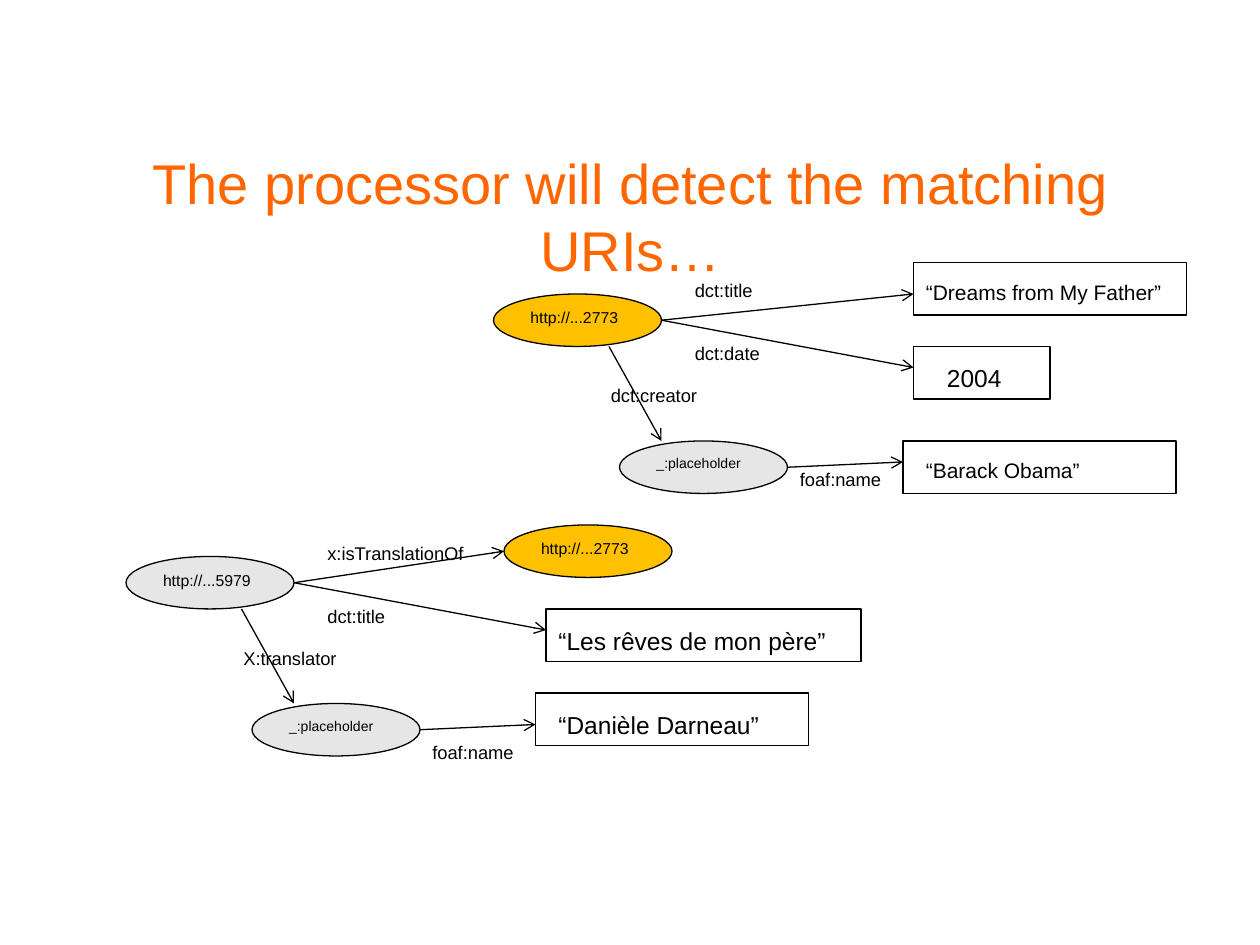
from lxml import etree
from pptx import Presentation
from pptx.dml.color import RGBColor
from pptx.enum.shapes import MSO_CONNECTOR, MSO_SHAPE
from pptx.enum.text import MSO_ANCHOR, MSO_AUTO_SIZE, PP_ALIGN
from pptx.oxml.ns import qn
from pptx.util import Pt

FONT = "Arial"
ORANGE = RGBColor(0xFF, 0x66, 0x00)
AMBER = RGBColor(0xFF, 0xC0, 0x00)
GREY = RGBColor(0xE6, 0xE6, 0xE6)
BLACK = RGBColor(0, 0, 0)
NODE_W, NODE_H = 96, 30
LINE_W = 0.75


def format_text(tf, text, size, color=BLACK, align=PP_ALIGN.LEFT):
    tf.text = text
    p = tf.paragraphs[0]
    p.alignment = align
    font = p.runs[0].font
    font.name, font.size = FONT, Pt(size)
    font.color.rgb = color


def add_title(s, text, x, y, w, h):
    sp = s.shapes.title
    sp.left, sp.top, sp.width, sp.height = Pt(x), Pt(y), Pt(w), Pt(h)
    tf = sp.text_frame
    tf.auto_size = MSO_AUTO_SIZE.NONE
    tf.vertical_anchor = MSO_ANCHOR.MIDDLE
    format_text(tf, text, 32, ORANGE, PP_ALIGN.CENTER)


def add_outlined(s, kind, x, y, w, h):
    sp = s.shapes.add_shape(kind, Pt(x), Pt(y), Pt(w), Pt(h))
    sp.shadow.inherit = False
    sp.fill.background()
    sp.line.color.rgb = BLACK
    sp.line.width = Pt(LINE_W)
    return sp


def add_node(s, text, x, y, size=9, fill=GREY):
    sp = add_outlined(s, MSO_SHAPE.OVAL, x, y, NODE_W, NODE_H)
    sp.fill.solid()
    sp.fill.fore_color.rgb = fill
    sp.text_frame.vertical_anchor = MSO_ANCHOR.TOP
    format_text(sp.text_frame, text, size)


def add_label(s, text, x, y, w, size=10.5):
    sp = s.shapes.add_textbox(Pt(x), Pt(y), Pt(w), Pt(1.2 * size + 7.8))
    tf = sp.text_frame
    tf.word_wrap = False
    tf.auto_size = MSO_AUTO_SIZE.SHAPE_TO_FIT_TEXT
    format_text(tf, text, size)


def add_literal(s, text, x, y, w, text_dx, text_w, size):
    add_outlined(s, MSO_SHAPE.RECTANGLE, x, y, w, NODE_H)
    add_label(s, text, x + text_dx, y + 6, text_w, size)


def add_arrow(s, x1, y1, x2, y2):
    cx = s.shapes.add_connector(MSO_CONNECTOR.STRAIGHT, Pt(x1), Pt(y1), Pt(x2), Pt(y2))
    cx.line.color.rgb = BLACK
    cx.line.width = Pt(LINE_W)
    etree.SubElement(cx.line._get_or_add_ln(), qn("a:tailEnd"), type="arrow")
    etree.SubElement(cx._element.spPr, qn("a:effectLst"))


def add_graph(s, x, y, root, root_fill, first_end, labels, literals):
    """RDF graph whose root node has its top left corner at x, y."""
    # Nodes
    add_node(s, root, x, y, fill=root_fill)
    add_node(s, "_:placeholder", x + 72, y + 84, size=8)

    # Arrows: to the blank node, the two upper objects and the name
    right, middle = NODE_W, NODE_H / 2
    for x1, y1, x2, y2 in [
        (66, NODE_H, 96, 84),
        (right, middle, *first_end),
        (right, middle, 240, 42),
        (72 + right, 84 + middle, 234, 96),
    ]:
        add_arrow(s, x + x1, y + y1, x + x2, y + y2)

    # Property names
    for text, dx, dy, w in labels:
        add_label(s, text, x + dx, y + dy, w)

    # Literal values
    for text, dx, dy, w, text_dx, text_w, size in literals:
        add_literal(s, text, x + dx, y + dy, w, text_dx, text_w, size)


def main():
    prs = Presentation()
    prs.slide_width, prs.slide_height = Pt(720), Pt(540)
    s = prs.slides.add_slide(prs.slide_layouts[5])
    add_title(s, "The processor will detect the matching URIs…", 36.5, 94.5, 648, 57)

    # Original book
    add_graph(
        s, 282, 168, "http://...2773", AMBER, (240, 0),
        labels=[
            ("dct:creator", 60, 48, 67),
            ("dct:date", 108, 24, 52.5),
            ("dct:title", 108, -12, 48),
            ("foaf:name", 168, 96, 62),
        ],
        literals=[
            ("“Dreams from My Father”", 240, -18, 156, 0, 150.5, 12),
            ("2004", 240, 30, 78, 12, 46, 14),
            ("“Barack Obama”", 234, 84, 156, 6, 103, 12),
        ],
    )

    # Translation, which points to the same URI
    add_graph(
        s, 72, 318, "http://...5979", GREY, (216, -3),
        labels=[
            ("X:translator", 60, 48, 69),
            ("dct:title", 108, 24, 48),
            ("x:isTranslationOf", 108, -12, 94.5),
            ("foaf:name", 168, 102, 62),
        ],
        literals=[
            ("“Les rêves de mon père”", 240, 30, 180, 0, 168.5, 14),
            ("“Danièle Darneau”", 234, 78, 156, 6, 129.5, 14),
        ],
    )
    add_node(s, "http://...2773", 288, 300, fill=AMBER)

    prs.save("out.pptx")


if __name__ == "__main__":
    main()
